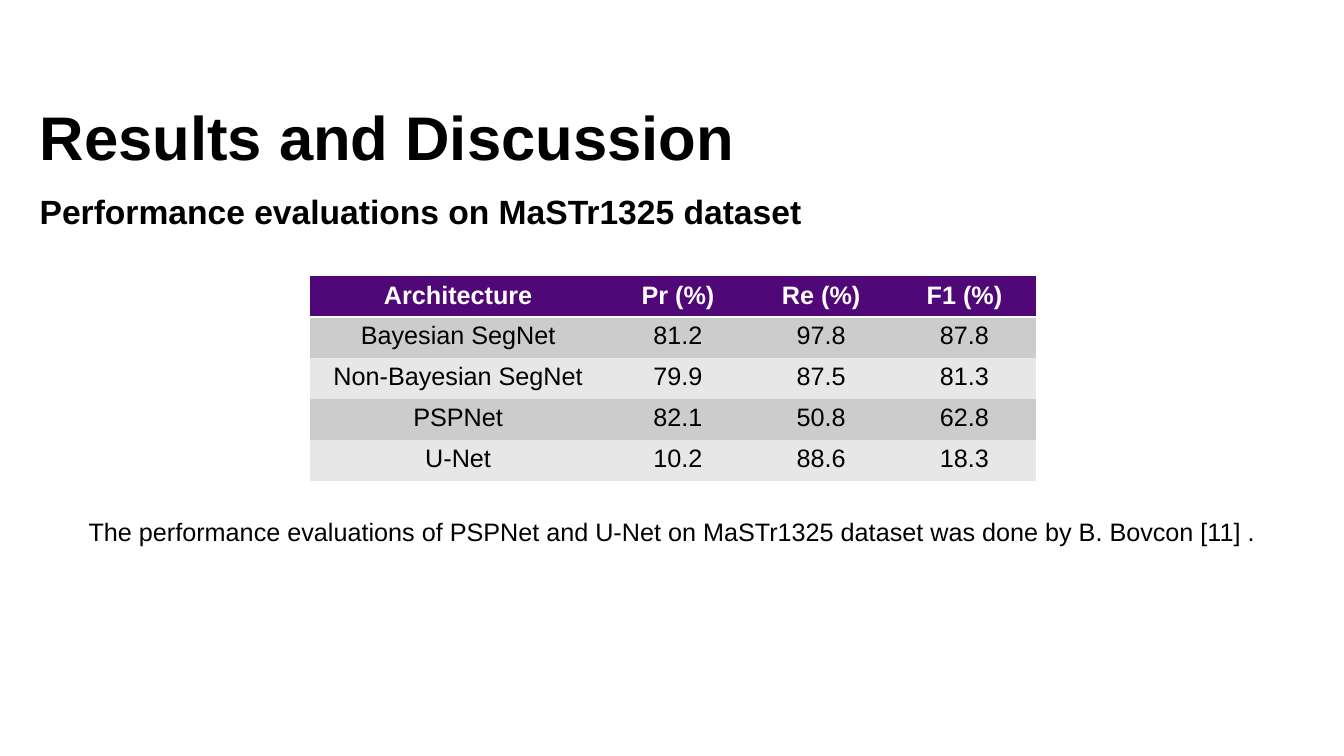
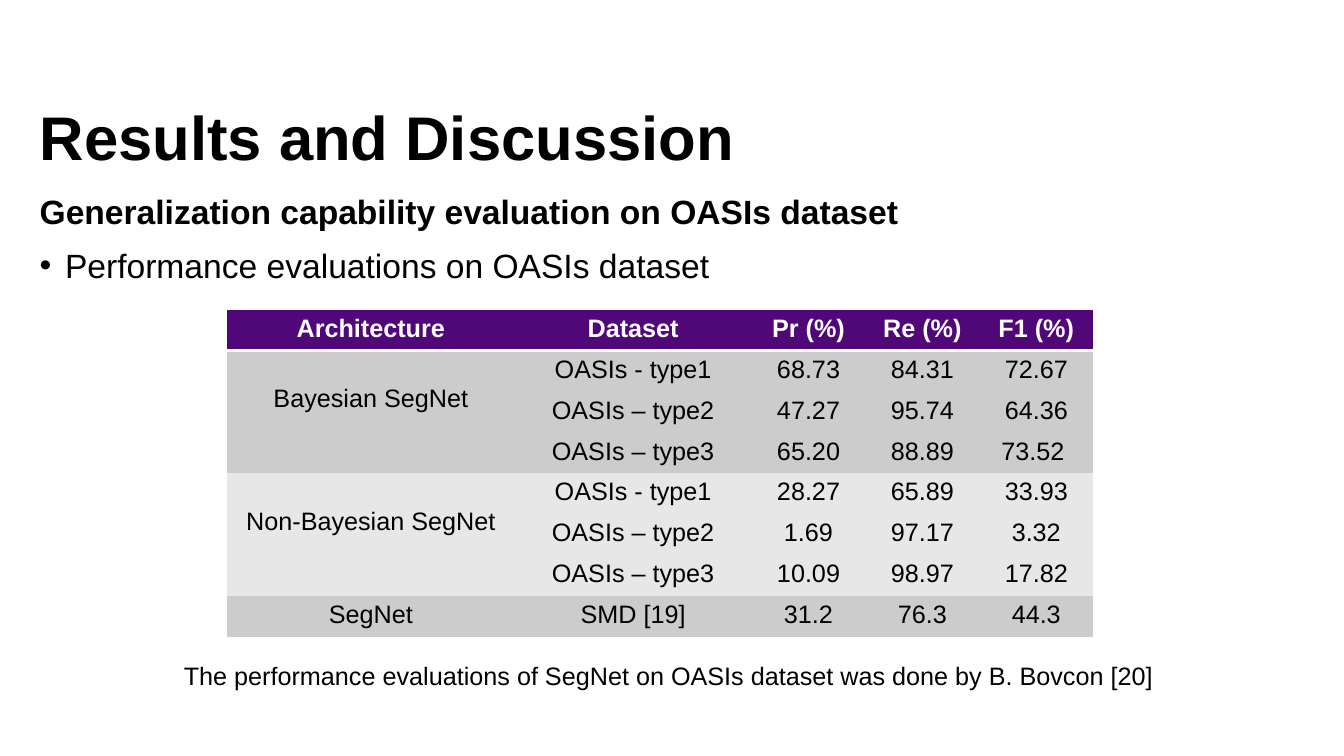
from lxml import etree
from pptx import Presentation
from pptx.dml.color import RGBColor
from pptx.enum import text
from pptx.oxml import ns
from pptx.util import Cm, Pt

COLORS = {"ink": "000000", "header": "500778", "white": "FFFFFF",
          "dark_band": "CCCCCC", "light_band": "E7E7E7"}
FONT = "Arial"
NO_STYLE = "{2D5ABB26-0587-4C30-8999-92F81FD0307C}"
LEFT, WIDTH, ROW_HEIGHT = 1.0, 31.87, 1.03
GROUP_TOP_MARGIN = 0.86

STYLES = {
    "title": {"size": Pt(44), "bold": True},
    "heading": {"size": Pt(24), "bold": True},
    "bullet": {"size": Pt(24), "bold": False},
    "table_head": {"size": Pt(18), "bold": True},
    "table_body": {"size": Pt(18), "bold": False},
    "caption": {"size": Pt(18), "bold": False},
}

TITLE = "Results and Discussion"
SLIDES = [
    {
        "heading": "Performance evaluations on MaSTr1325 dataset",
        "bullets": [],
        "body_height": 2.81,
        "table_at": (7.81, 6.96),
        "columns": [("Architecture", 7.47), ("Pr (%)", 3.61),
                    ("Re (%)", 3.61), ("F1 (%)", 3.61)],
        "groups": [
            ("Bayesian SegNet", [("81.2", "97.8", "87.8")]),
            ("Non-Bayesian SegNet", [("79.9", "87.5", "81.3")]),
            ("PSPNet", [("82.1", "50.8", "62.8")]),
            ("U-Net", [("10.2", "88.6", "18.3")]),
        ],
        "caption": "The performance evaluations of PSPNet and U-Net on MaSTr1325 "
                   "dataset was done by B. Bovcon [11] .",
        "caption_top": 12.88,
    },
    {
        "heading": "Generalization capability evaluation on OASIs dataset",
        "bullets": ["Performance evaluations on OASIs dataset"],
        "body_height": 2.51,
        "table_at": (5.72, 7.8),
        "columns": [("Architecture", 7.25), ("Dataset", 5.97), ("Pr (%)", 2.87),
                    ("Re (%)", 2.87), ("F1 (%)", 2.87)],
        "groups": [
            ("Bayesian SegNet", [
                ("OASIs - type1", "68.73", "84.31", "72.67"),
                ("OASIs – type2", "47.27", "95.74", "64.36"),
                ("OASIs – type3", "65.20", "88.89", "73.52 "),
            ]),
            ("Non-Bayesian SegNet", [
                ("OASIs - type1", "28.27", "65.89", "33.93"),
                ("OASIs – type2", "1.69", "97.17", "3.32"),
                ("OASIs – type3", "10.09", "98.97", "17.82"),
            ]),
            ("SegNet", [("SMD [19]", "31.2", "76.3", "44.3")]),
        ],
        "caption": "The performance evaluations of SegNet on OASIs dataset "
                   "was done by B. Bovcon [20] ",
        "caption_top": 16.51,
    },
]


def write(paragraph, wording, style, color="ink", align=text.PP_ALIGN.LEFT):
    paragraph.alignment = align
    run = paragraph.add_run()
    run.text = wording
    for name, value in {"name": FONT, **STYLES[style]}.items():
        setattr(run.font, name, value)
    run.font.color.rgb = RGBColor.from_string(COLORS[color])


def set_frame(frame, **extra):
    settings = {"word_wrap": True, "auto_size": text.MSO_AUTO_SIZE.NONE,
                "vertical_anchor": text.MSO_ANCHOR.TOP, **extra}
    for name, value in settings.items():
        setattr(frame, name, value)


def zero_margins():
    return {f"margin_{side}": 0 for side in ("left", "top", "right", "bottom")}


def add_title(slide):
    title = slide.shapes.title
    place = {"left": LEFT, "top": 2.49, "width": WIDTH, "height": 2.29}
    for name, value in place.items():
        setattr(title, name, Cm(value))
    set_frame(title.text_frame, **zero_margins())
    write(title.text_frame.paragraphs[0], TITLE, "title")


def add_body(slide, heading, bullets, height):
    frame = slide.shapes.add_textbox(Cm(LEFT), Cm(4.8), Cm(WIDTH), Cm(height)).text_frame
    set_frame(frame, **zero_margins())
    write(frame.paragraphs[0], heading, "heading")
    for wording in bullets:
        paragraph = frame.add_paragraph()
        paragraph.space_before = Pt(10)
        props = paragraph._p.get_or_add_pPr()
        indent = Cm(0.64)
        props.set("marL", str(indent))
        props.set("indent", str(-indent))
        etree.SubElement(props, ns.qn("a:buFont")).set("typeface", FONT)
        etree.SubElement(props, ns.qn("a:buChar")).set("char", "•")
        write(paragraph, wording, "bullet")


def fill_cell(cell, wording, style, fill, color="ink"):
    cell.fill.solid()
    cell.fill.fore_color.rgb = RGBColor.from_string(COLORS[fill])
    if wording:
        write(cell.text_frame.paragraphs[0], wording, style, color, text.PP_ALIGN.CENTER)


def underline_header(cell):
    border = etree.Element(ns.qn("a:lnB"), w=str(Pt(2)))
    solid = etree.SubElement(border, ns.qn("a:solidFill"))
    etree.SubElement(solid, ns.qn("a:srgbClr")).set("val", COLORS["white"])
    cell._tc.get_or_add_tcPr().insert(0, border)


def add_results(slide, columns, groups, at):
    row_count = 1 + sum(len(rows) for _, rows in groups)
    left, top = at
    width = sum(column_width for _, column_width in columns)
    table = slide.shapes.add_table(row_count, len(columns), Cm(left), Cm(top),
                                   Cm(width), Cm(ROW_HEIGHT * row_count)).table
    table._tbl.tblPr.find(ns.qn("a:tableStyleId")).text = NO_STYLE
    for row in table.rows:
        row.height = Cm(ROW_HEIGHT)
    for index, (label, column_width) in enumerate(columns):
        table.columns[index].width = Cm(column_width)
        fill_cell(table.cell(0, index), label, "table_head", "header", "white")
        underline_header(table.cell(0, index))

    first = 1
    for number, (architecture, rows) in enumerate(groups):
        band = ("dark_band", "light_band")[number % 2]
        for offset, values in enumerate(rows):
            label = "" if offset else architecture
            for index, wording in enumerate((label, *values)):
                fill_cell(table.cell(first + offset, index), wording, "table_body", band)
        if len(rows) > 1:
            group_cell = table.cell(first, 0)
            group_cell.merge(table.cell(first + len(rows) - 1, 0))
            group_cell.margin_top = Cm(GROUP_TOP_MARGIN)
        first += len(rows)


def add_caption(slide, wording, top):
    frame = slide.shapes.add_textbox(Cm(LEFT), Cm(top), Cm(WIDTH), Cm(1.03)).text_frame
    set_frame(frame, auto_size=text.MSO_AUTO_SIZE.SHAPE_TO_FIT_TEXT)
    write(frame.paragraphs[0], wording, "caption", align=text.PP_ALIGN.CENTER)


def main():
    deck = Presentation()
    deck.slide_width, deck.slide_height = Cm(33.87), Cm(19.05)
    for content in SLIDES:
        slide = deck.slides.add_slide(deck.slide_layouts[5])
        add_title(slide)
        add_body(slide, content["heading"], content["bullets"], content["body_height"])
        add_results(slide, content["columns"], content["groups"], content["table_at"])
        add_caption(slide, content["caption"], content["caption_top"])
    deck.save("out.pptx")


if __name__ == "__main__":
    main()
